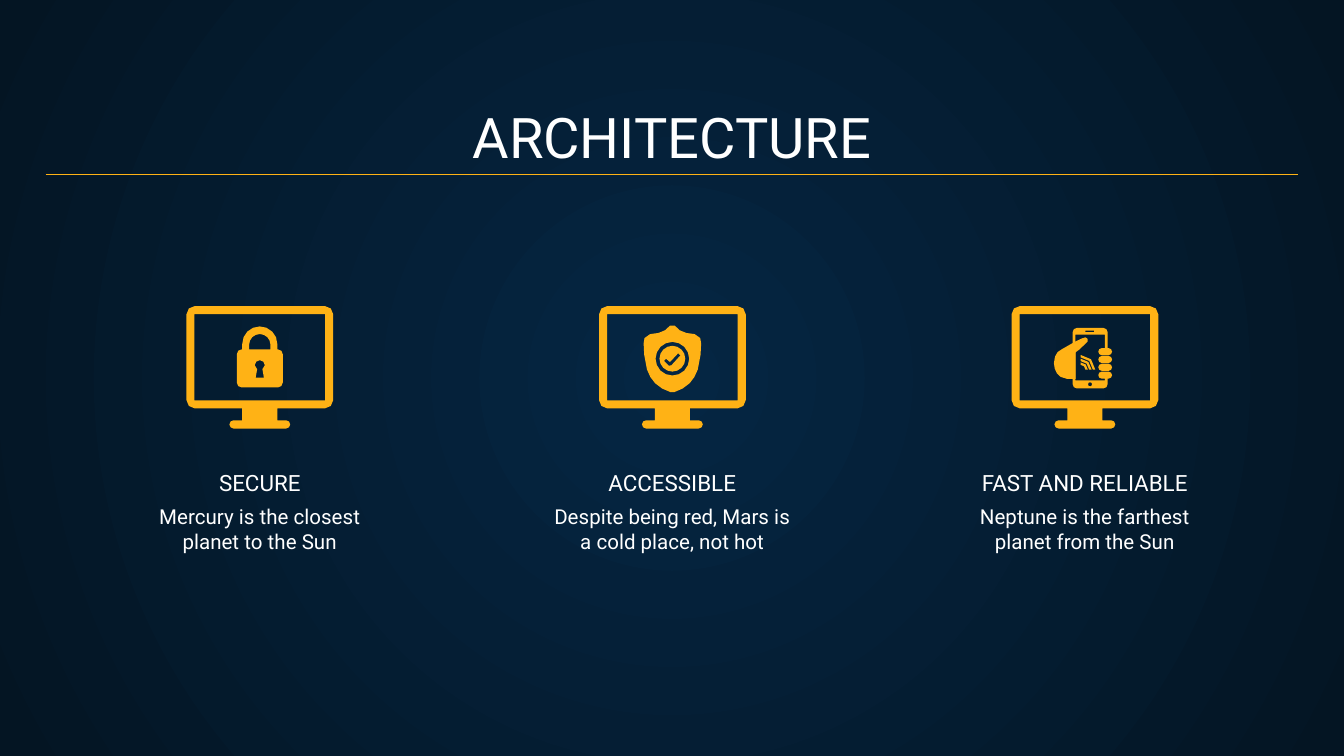
from math import cos, pi, sin

from pptx import Presentation
from pptx.dml.color import RGBColor
from pptx.enum.shapes import MSO_CONNECTOR
from pptx.enum.text import MSO_ANCHOR, MSO_AUTO_SIZE, PP_ALIGN
from pptx.oxml import parse_xml
from pptx.oxml.ns import nsdecls, qn
from pptx.util import Pt

NAVY = RGBColor(0x05, 0x26, 0x43)
DARK = RGBColor(0x04, 0x15, 0x23)
AMBER = RGBColor(0xFF, 0xB2, 0x15)
WHITE = RGBColor(0xFF, 0xFF, 0xFF)
FIRST_CENTER, COLUMN_STEP = 139.2, 221
SMALL, LARGE = 3, 5  # points per rounded corner

COLUMNS = [
    ("SECURE", "Mercury is the closest planet to the Sun"),
    ("ACCESSIBLE", "Despite being red, Mars is a cold place, not hot"),
    ("FAST AND RELIABLE", "Neptune is the farthest planet from the Sun"),
]


def rounded(left, top, right, bottom, radius, count=SMALL):
    """Clockwise outline: top-left, top-right, bottom-right, bottom-left corner."""
    centers = [(left + radius, top + radius), (right - radius, top + radius),
               (right - radius, bottom - radius), (left + radius, bottom - radius)]
    points = []
    for corner, (x, y) in enumerate(centers):
        for step in range(count):
            angle = pi + (corner + step / (count - 1)) * pi / 2
            points.append((x + radius * cos(angle), y + radius * sin(angle)))
    return points


def draw(center, contours):
    """Amber freeform; x counts from the column center, y from the slide top."""
    paths = [[(Pt(center + x), Pt(y)) for x, y in contour] for contour in contours]
    builder = slide.shapes.build_freeform(*paths[0][0], scale=1.0)
    builder.add_line_segments(paths[0][1:], close=True)
    for path in paths[1:]:
        builder.move_to(*path[0])
        builder.add_line_segments(path[1:], close=True)
    shape = builder.convert_to_shape()
    shape.shadow.inherit = False
    shape.fill.solid()
    shape.fill.fore_color.rgb = AMBER
    shape.line.fill.background()


presentation = Presentation()
presentation.slide_width, presentation.slide_height = Pt(720), Pt(405)
slide = presentation.slides.add_slide(presentation.slide_layouts[5])

# Radial background
background = slide.background.fill
background.gradient()
for stop, color, position in zip(background.gradient_stops, (NAVY, DARK), (0, 1)):
    stop.color.rgb = color
    stop.position = position
linear = next(slide.element.iter(qn("a:lin")))
linear.getparent().replace(linear, parse_xml(
    f'<a:path {nsdecls("a")} path="circle">'
    '<a:fillToRect l="50000" t="50000" r="50000" b="50000"/></a:path>'))

# Title, headings and descriptions
title = slide.shapes.title
title.left, title.top, title.width, title.height = Pt(24.5), Pt(50.4), Pt(671), Pt(47.5)
centers = [FIRST_CENTER + index * COLUMN_STEP for index in range(3)]
texts = [(title, "ARCHITECTURE", 30, MSO_ANCHOR.BOTTOM)]
for center, (heading, description) in zip(centers, COLUMNS):
    heading_box = slide.shapes.add_textbox(Pt(center - 82), Pt(257.8), Pt(164), Pt(15))
    description_box = slide.shapes.add_textbox(Pt(center - 74.5), Pt(262.8), Pt(149), Pt(39.6))
    texts += [(heading_box, heading, 12, MSO_ANCHOR.BOTTOM),
              (description_box, description, 11, MSO_ANCHOR.TOP)]
for shape, text, size, anchor in texts:
    frame = shape.text_frame
    frame.auto_size = MSO_AUTO_SIZE.NONE
    frame.word_wrap = True
    frame.vertical_anchor = anchor
    frame.margin_left = frame.margin_right = Pt(7.2)
    frame.margin_top = frame.margin_bottom = Pt(7.2)
    paragraph = frame.paragraphs[0]
    paragraph.alignment = PP_ALIGN.CENTER
    run = paragraph.add_run()
    run.text = text
    run.font.name = "Roboto"
    run.font.size = Pt(size)
    run.font.color.rgb = WHITE

# Title rule
rule = slide.shapes.add_connector(MSO_CONNECTOR.STRAIGHT, Pt(24.5), Pt(93.6), Pt(695.5), Pt(93.6))
rule.line.color.rgb = AMBER
rule.line.width = Pt(0.75)
rule.element.spPr.append(parse_xml(f'<a:effectLst {nsdecls("a")}/>'))

# Monitors
body = rounded(-39.3, 164, 39.3, 218.8, 4.4)
foot = rounded(-16.3, 225.2, 16.3, 229.6, 2.2)
screen = [(-35, 168.3), (35, 168.3), (35, 214.6), (-35, 214.6)]
monitor = (body[:3 * SMALL] + [(9.4, 218.8), (9.4, 225.2)] + foot[SMALL:] + foot[:SMALL]
           + [(-9.4, 225.2), (-9.4, 218.8)] + body[3 * SMALL:])
for center in centers:
    draw(center, [monitor, screen])

# Padlock
case = rounded(-12.3, 187.2, 12.3, 207.6, 2.6)
shackle = rounded(-9.4, 174.9, 9.4, 193.7, 9.4, LARGE)[:2 * LARGE]
opening = rounded(-5.7, 179, 5.7, 190.4, 5.7, LARGE)[:2 * LARGE]
keyhole = rounded(-2.7, 193, 2.7, 198.4, 2.7)[:2 * SMALL]
draw(centers[0], [
    case[:SMALL] + [(-9.4, 187.2)] + shackle + [(9.4, 187.2)] + case[SMALL:],
    opening + [(5.7, 187.2), (-5.7, 187.2)],
    keyhole + [(1.4, 197.8), (2.2, 202.3), (-2.2, 202.3), (-1.4, 197.8)],
])

# Shield with check mark
half = [(1.2, 174.4), (4, 177), (7.5, 178.4), (11.9, 179), (14.9, 181.1), (15.4, 184),
        (15.1, 190), (13.6, 198), (11.8, 202), (9.3, 205.3), (5.5, 208.2), (1, 210.1)]
check = [(3.1, 189.3), (4.3, 190.4), (-0.6, 195.8), (-1.9, 195.9),
         (-4.5, 193.4), (-3.4, 192.2), (-1.3, 194)]
draw(centers[1], [
    half + [(-x, y) for x, y in reversed(half)],
    rounded(-9, 183.2, 9, 201.2, 9, LARGE),
    rounded(-6.9, 185.3, 6.9, 199.1, 6.9, LARGE),
    check,
])

# Phone with fingers and signal arcs
phone = rounded(-6.5, 175.7, 12.2, 208.1, 2.2)
contours = [
    phone[:2 * SMALL]
    + [(12.2, 186.5), (10.8, 186.5), (10.8, 179.3), (-5, 179.3),
       (-5, 203.8), (10.8, 203.8), (10.8, 203), (12.2, 203)]
    + phone[2 * SMALL:],
    [(0.3, 177.1), (5, 177.1), (5, 177.9), (0.3, 177.9)],
    rounded(1.7, 204.8, 3.9, 207, 1.1),
]
for finger in range(4):
    top = 186.5 + finger * 4.2
    contours.append(rounded(7.2, top, 14.6, top + 3.8, 1.9))
for radius in (3.8, 5.8, 7.8):
    outer, inner = [rounded(-2.2 - r, 198 - r, -2.2 + r, 198 + r, r)[SMALL:2 * SMALL]
                    for r in (radius, radius - 1.3)]
    contours.append(outer + inner[::-1])
draw(centers[2], contours)

# Hand
draw(centers[2], [[
    (-5, 182.9), (-1.6, 181.3), (0.3, 180.7), (1.4, 181.5), (1.4, 183), (-2.9, 187.2),
    (-5, 188.8), (-5, 203), (-9.4, 203), (-13, 201.9), (-15, 200), (-16.2, 197.4),
    (-16.6, 194.5), (-16, 191), (-14.6, 188.6), (-12.2, 187)]])

presentation.save("out.pptx")
